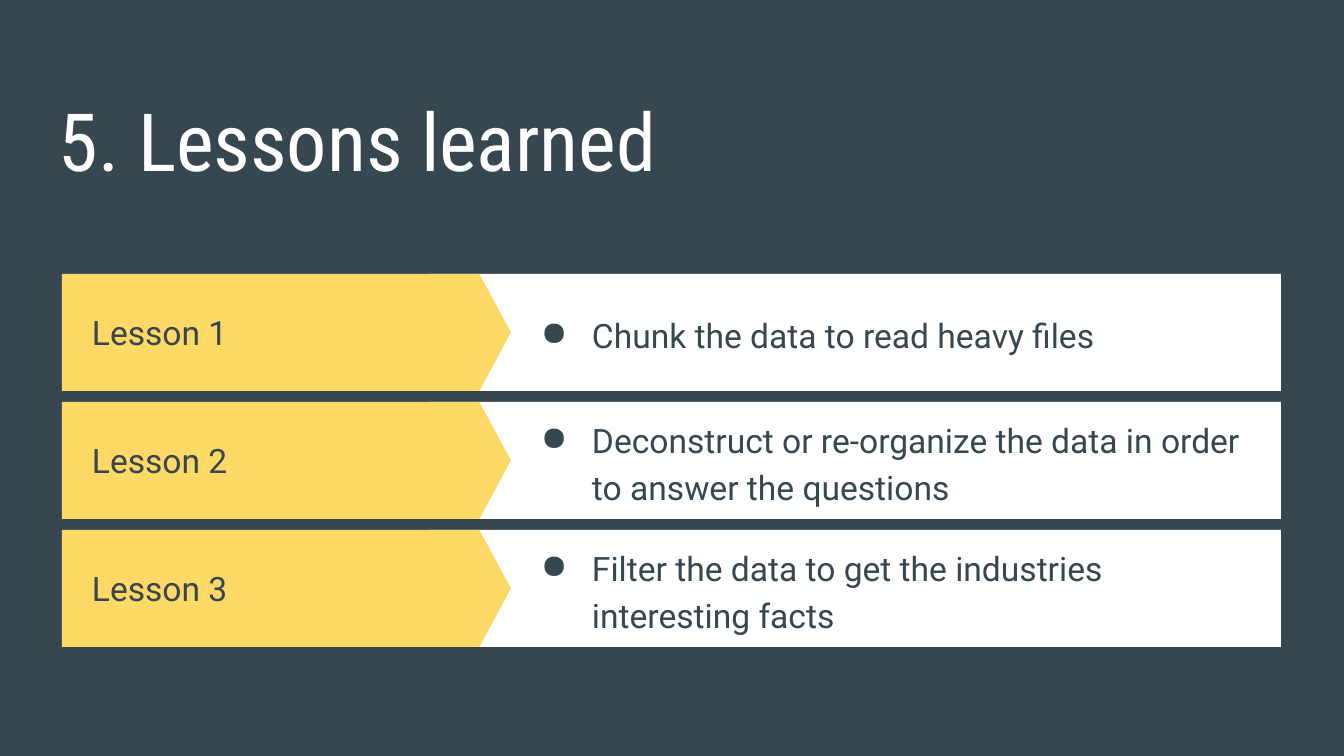
from pptx import Presentation
from pptx.dml.color import RGBColor
from pptx.enum.shapes import MSO_SHAPE as SHAPE
from pptx.enum.text import MSO_ANCHOR as ANCHOR
from pptx.oxml.xmlchemy import OxmlElement
from pptx.util import Pt

PX = 914400 / 134.4
SLATE = RGBColor(0x37, 0x47, 0x4F)
YELLOW = RGBColor(0xFF, 0xD9, 0x66)
WHITE = RGBColor(0xFF, 0xFF, 0xFF)

LESSONS = [
    "Chunk the data to read heavy files",
    "Deconstruct or re-organize the data in order to answer the questions",
    "Filter the data to get the industries interesting facts",
]
ROW_TOP, ROW_HEIGHT, ROW_PITCH = 274, 117, 128


def emu(px):
    return round(px * PX)


class Deck:
    body_font = "Roboto"
    title_font = "Roboto Condensed"
    inset = 13

    def __init__(self, width, height):
        self.prs = Presentation()
        self.prs.slide_width, self.prs.slide_height = emu(width), emu(height)
        self.s = self.prs.slides.add_slide(self.prs.slide_layouts[6])
        fill = self.s.background.fill
        fill.solid()
        fill.fore_color.rgb = SLATE

    def text(self, box, text, size=18, font=body_font, color=SLATE, anchor=ANCHOR.MIDDLE):
        tf = self.s.shapes.add_textbox(*map(emu, box)).text_frame
        tf.word_wrap = True
        tf.vertical_anchor = anchor
        tf.margin_left = tf.margin_right = emu(self.inset)
        tf.margin_top = tf.margin_bottom = emu(self.inset)
        p = tf.paragraphs[0]
        p.text = text
        p.font.size, p.font.name = Pt(size), font
        p.font.color.rgb = color
        return p

    def bullet(self, box, text):
        p = self.text(box, text)
        p.line_spacing = 1.15
        pPr = p._p.get_or_add_pPr()
        pPr.set("marL", str(emu(67)))
        pPr.set("indent", str(emu(-51)))
        bu_color = OxmlElement("a:buClr")
        rgb = OxmlElement("a:srgbClr")
        rgb.set("val", str(SLATE))
        bu_color.append(rgb)
        bu_char = OxmlElement("a:buChar")
        bu_char.set("char", "●")
        # Bullet settings come after spacing and before the default run properties.
        spacing = pPr.find("{*}lnSpc")
        spacing.addnext(bu_color)
        bu_color.addnext(bu_char)

    def shape(self, group, kind, box, color):
        sp = group.shapes.add_shape(kind, *map(emu, box))
        sp.shadow.inherit = False
        sp.fill.solid()
        sp.fill.fore_color.rgb = color
        sp.line.fill.background()
        return sp

    def banner(self, top, height):
        """White bar with a yellow arrow tab over its left end."""
        group = self.s.shapes.add_group_shape()
        self.shape(group, SHAPE.RECTANGLE, (430, top, 851, height), WHITE)
        tab = self.shape(group, SHAPE.PENTAGON, (62, top, 449, height), YELLOW)
        tab.adjustments[0] = 0.27


def main():
    deck = Deck(1344, 756)
    deck.text((46, 78, 1252, 85), "5. Lessons learned", 43, deck.title_font, WHITE, ANCHOR.TOP)
    for i, lesson in enumerate(LESSONS):
        top = ROW_TOP + i * ROW_PITCH
        deck.banner(top, ROW_HEIGHT)
        deck.text((79, top, 356, ROW_HEIGHT), f"Lesson {i + 1}")
        deck.bullet((512, top, 751, ROW_HEIGHT), lesson)
    deck.prs.save("out.pptx")


if __name__ == "__main__":
    main()
